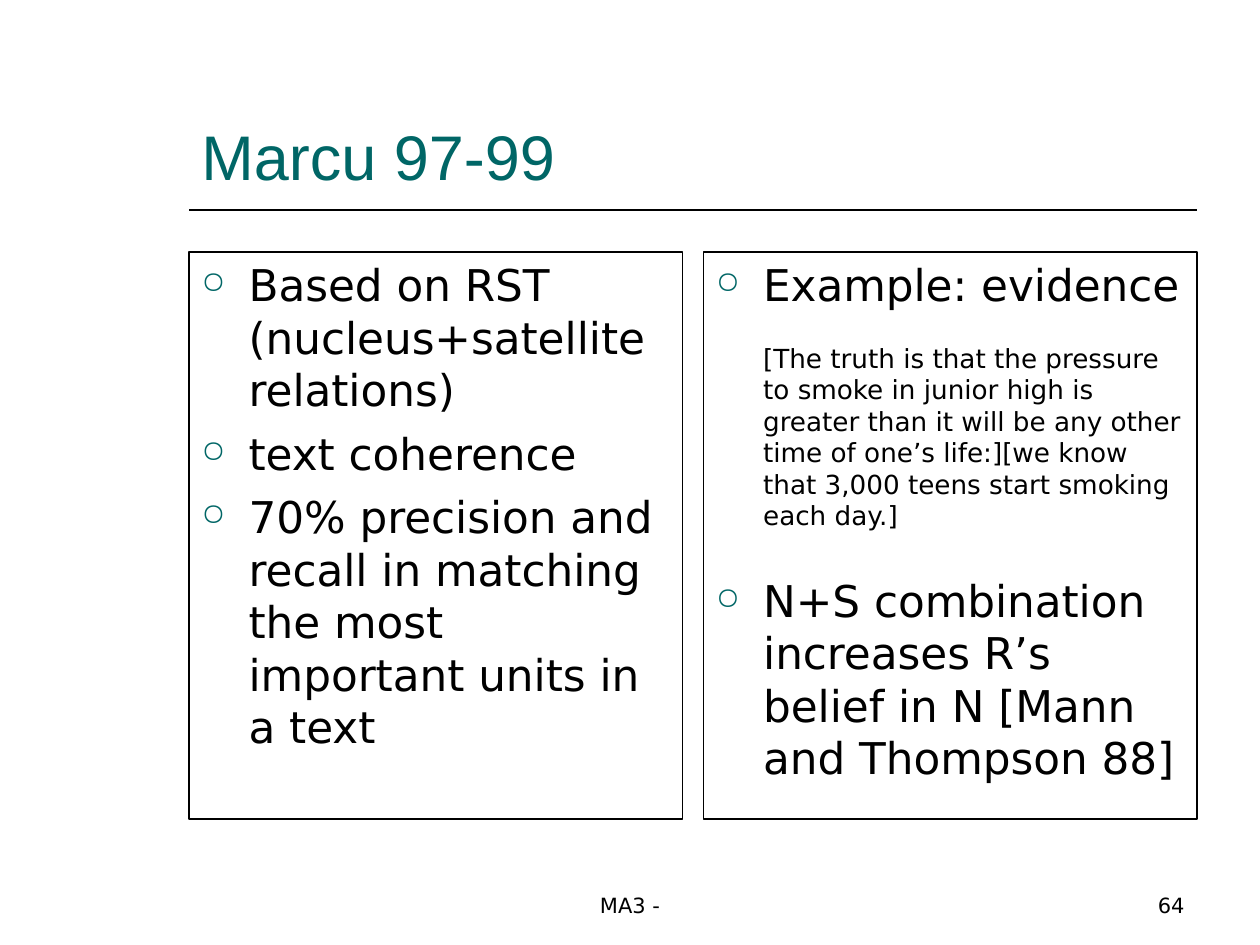
from pptx import Presentation
from pptx.dml.color import RGBColor as RGB
from pptx.enum.shapes import MSO_CONNECTOR as Link, MSO_SHAPE as Kind
from pptx.enum.text import MSO_ANCHOR as Anchor, PP_ALIGN as Align
from pptx.oxml.ns import qn
from pptx.util import Pt
from lxml.etree import SubElement as Sub

TITLE = "Marcu 97-99"
# (style, space before, text)
COLS = [
    [("point", 0, "Based on RST (nucleus+satellite relations)"),
     ("point", 6.2, "text coherence"),
     ("point", 6.2, "70% precision and recall in matching the most important units in a text")],
    [("point", 0, "Example: evidence"),
     ("quote", 18, "[The truth is that the pressure to smoke in junior high is greater than it "
                   "will be any other time of one’s life:][we know that 3,000 teens start "
                   "smoking each day.]"),
     ("point", 24.2, "N+S combination increases R’s belief in N [Mann and Thompson 88]")],
]
FOOT = [("MA3 -", 246, 228, Align.CENTER), ("64", 516, 168, Align.RIGHT)]
THEME = {
    "teal": "006666", "ink": "000000", "head": "Arial", "body": "DejaVu Sans",
    "title": 36, "point": 25, "quote": 15, "foot": 12,
}
LEFT, RIGHT, GAP, HANG, LEAD = 108, 684, 12, 27, 1.2


def style(para, size, face="body", tint="ink"):
    font = para.font
    font.size, font.name = Pt(THEME[size]), THEME[face]
    font.color.rgb = RGB.from_string(THEME[tint])


def label(slide, text, x, y, w, h, size, align=Align.LEFT, **look):
    frame = slide.shapes.add_textbox(Pt(x), Pt(y), Pt(w), Pt(h)).text_frame
    frame.word_wrap, frame.vertical_anchor = True, Anchor.BOTTOM
    para = frame.paragraphs[0]
    para.text, para.alignment = text, align
    style(para, size, **look)


def indent(para, mark):
    props = para._p.get_or_add_pPr()
    props.set("marL", str(Pt(HANG)))
    props.set("indent", str(-Pt(HANG) if mark else 0))
    if mark:
        Sub(Sub(props, qn("a:buClr")), qn("a:srgbClr"), val=THEME["teal"])
        Sub(props, qn("a:buSzPct"), val="70000")
        Sub(props, qn("a:buChar"), char="○")
    else:
        Sub(props, qn("a:buNone"))


def panel(slide, items, x, w):
    box = slide.shapes.add_shape(Kind.RECTANGLE, Pt(x), Pt(144), Pt(w), Pt(324))
    box.shadow.inherit = False
    box.fill.background()
    box.line.color.rgb, box.line.width = RGB.from_string(THEME["ink"]), Pt(0.75)
    frame = box.text_frame
    frame.word_wrap, frame.vertical_anchor = True, Anchor.TOP
    for i, (kind, space, text) in enumerate(items):
        para = frame.add_paragraph() if i else frame.paragraphs[0]
        para.text, para.alignment = text, Align.LEFT
        para.line_spacing, para.space_before = Pt(THEME[kind] * LEAD), Pt(space)
        indent(para, kind == "point")
        style(para, kind)


def main():
    """Build the two-column slide and save it."""
    deck = Presentation()
    deck.slide_width, deck.slide_height = Pt(720), Pt(540)
    slide = deck.slides.add_slide(deck.slide_layouts[6])
    rule = slide.shapes.add_connector(Link.STRAIGHT, Pt(LEFT), Pt(120), Pt(RIGHT), Pt(120))
    rule.line.color.rgb, rule.line.width = RGB.from_string(THEME["ink"]), Pt(1)
    Sub(rule._element.spPr, qn("a:effectLst"))
    label(slide, TITLE, LEFT, 24, RIGHT - LEFT, 90, "title", face="head", tint="teal")
    wide = (RIGHT - LEFT - GAP) / 2
    for i, items in enumerate(COLS):
        panel(slide, items, LEFT + i * (wide + GAP), wide)
    for text, x, w, align in FOOT:
        label(slide, text, x, 492, w, 36, "foot", align)
    deck.save("out.pptx")


if __name__ == "__main__":
    main()
